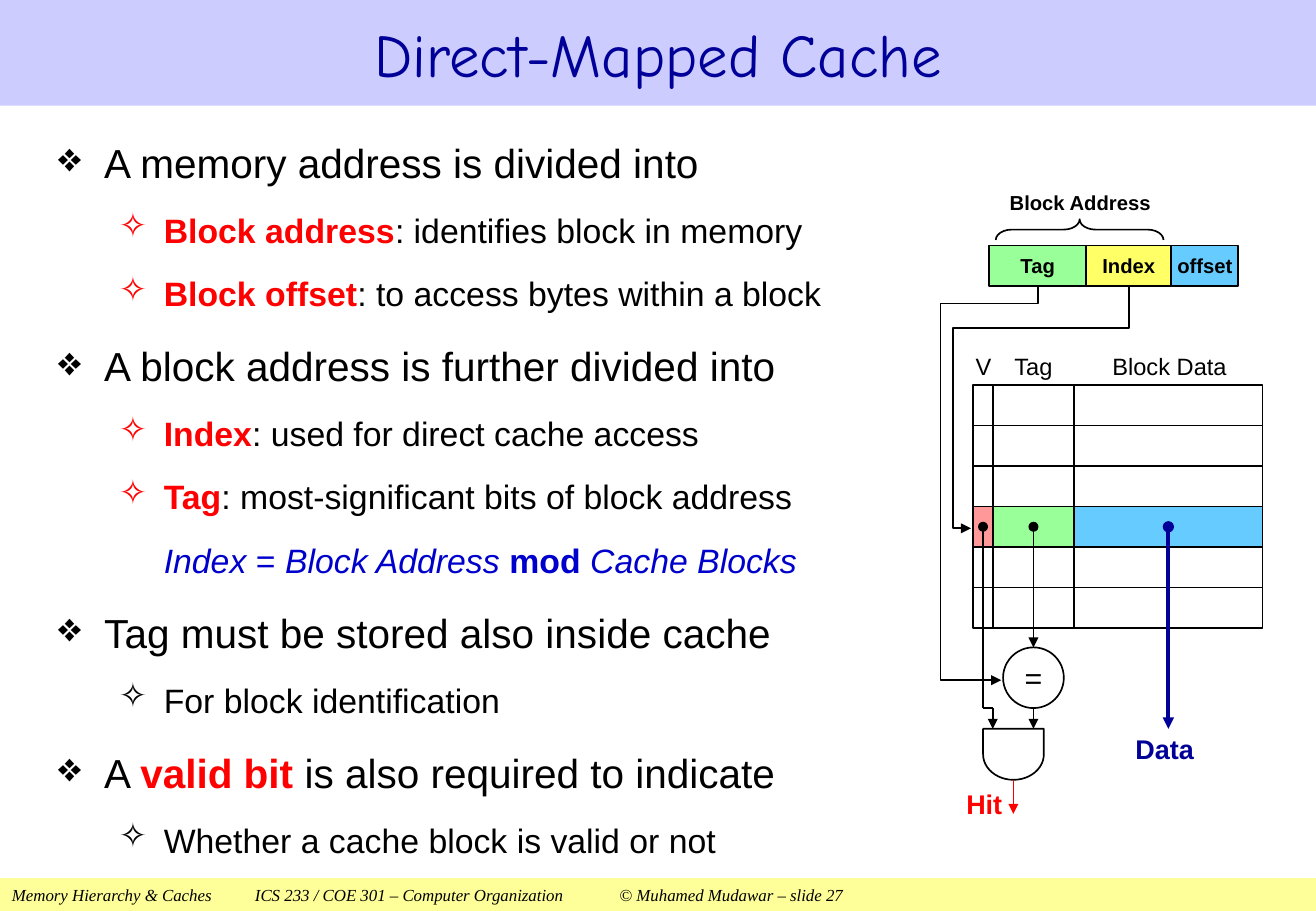
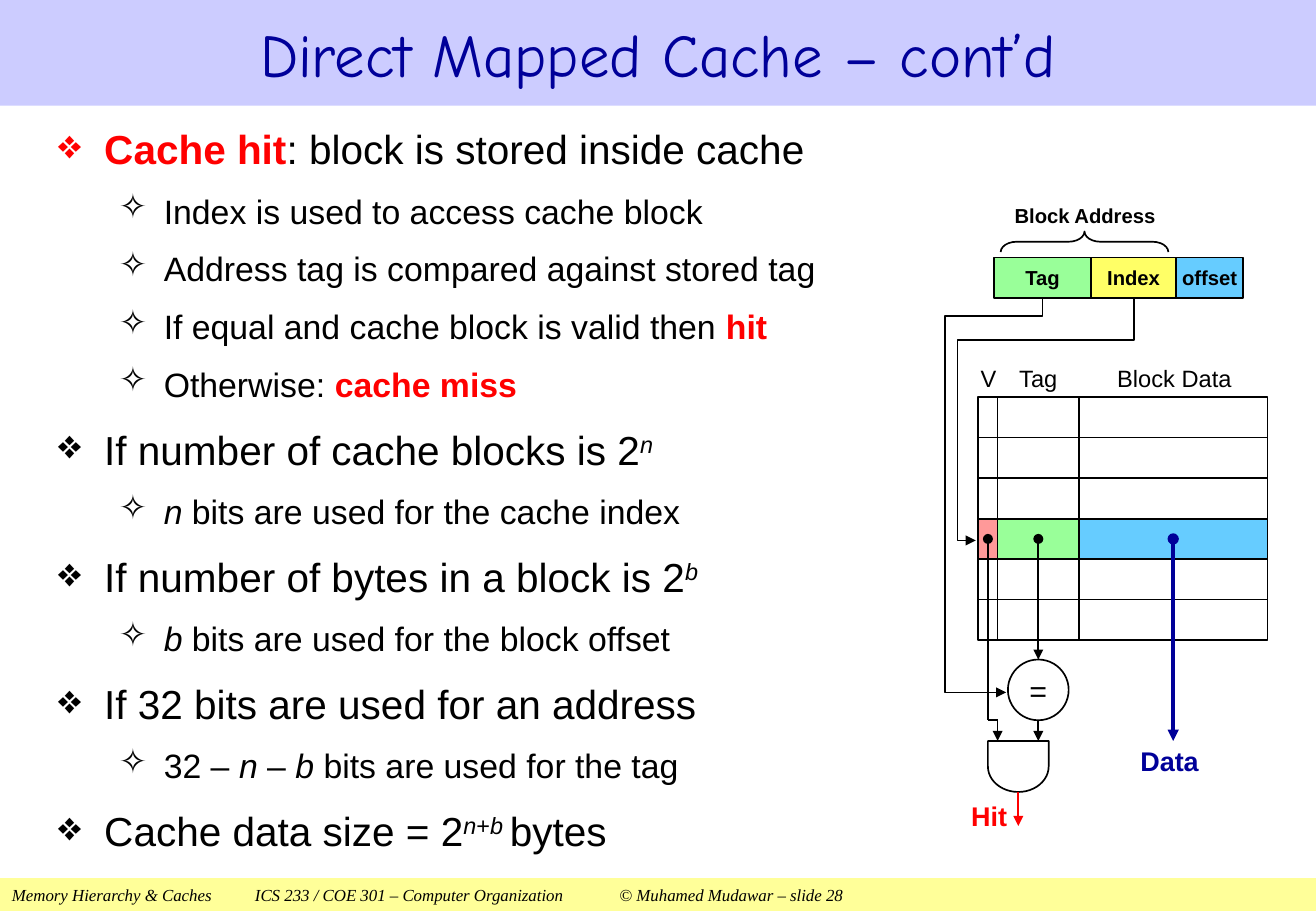
from lxml.etree import SubElement
from pptx import Presentation
from pptx.dml.color import RGBColor
from pptx.enum.shapes import MSO_SHAPE as Preset
from pptx.enum.text import MSO_ANCHOR as Anchor, MSO_AUTO_SIZE as AutoSize, PP_ALIGN as Align
from pptx.oxml.ns import qn
from pptx.util import Inches, Pt

rgb = RGBColor.from_string

# Shared look
BLACK, WHITE, RED, NAVY, BLUE = "000000", "FFFFFF", "FF0000", "000099", "0000CC"
TITLE_BAND, FOOTER_BAND = "CCCCFF", "FFFF99"
GREEN, YELLOW, SKY, PINK = "99FF99", "FFFF66", "66CCFF", "FF9999"
WIDTH, HEIGHT = 10.83, 7.5
LINE_HEIGHT = 1.15  # natural line height per point of text size

# Bullet levels: mark, text size, left margin, hanging indent
LEVELS = [("❖", 24, 0.38, 0.38), ("✧", 20, 0.87, 0.37)]

# Run formats
PLAIN = {}
KEY = dict(color=RED, bold=True)
VAR = dict(italic=True)
POWER = dict(italic=True, raised=True)
FORMULA = dict(color=BLUE, italic=True)


def write(paragraph, text, size=20, color=BLACK, font="Arial", bold=False, italic=False, raised=False):
    run = paragraph.add_run()
    run.text = text
    run.font.name, run.font.size = font, Pt(size)
    run.font.bold, run.font.italic = bold, italic
    run.font.color.rgb = rgb(color)
    if raised:
        run._r.get_or_add_rPr().set("baseline", "30000")


def paint(shape, fill=None, line=BLACK, width=1, head=None, tail=None):
    if hasattr(shape, "fill"):
        shape.shadow.inherit = False
        if fill:
            shape.fill.solid()
            shape.fill.fore_color.rgb = rgb(fill)
        else:
            shape.fill.background()
    if not line:
        shape.line.fill.background()
        return
    shape.line.color.rgb = rgb(line)
    shape.line.width = Pt(width)
    properties = shape._element.spPr
    for tag, kind in (("a:headEnd", head), ("a:tailEnd", tail)):
        if kind:
            SubElement(properties.find(qn("a:ln")), qn(tag), type=kind)
    if not hasattr(shape, "fill"):
        SubElement(properties, qn("a:effectLst"))


# Content: each bullet is a level and its runs; level None is an unmarked line
slides = [
    dict(number=27, title="Direct-Mapped Cache", body=(0.38, 1.03, 7.04, 6.1), gap=0.45, shift=(0, 0), bullets=[
        (0, [("A memory address is divided into", PLAIN)]),
        (1, [("Block address", KEY), (": identifies block in memory", PLAIN)]),
        (1, [("Block offset", KEY), (": to access bytes within a block", PLAIN)]),
        (0, [("A block address is further divided into", PLAIN)]),
        (1, [("Index", KEY), (": used for direct cache access", PLAIN)]),
        (1, [("Tag", KEY), (": most-significant bits of block address", PLAIN)]),
        (None, [("Index", FORMULA), (" = ", dict(color=BLUE)), ("Block Address ", FORMULA),
                ("mod ", dict(color=BLUE, bold=True)), ("Cache Blocks", FORMULA)]),
        (0, [("Tag must be stored also inside cache", PLAIN)]),
        (1, [("For block identification", PLAIN)]),
        (0, [("A ", PLAIN), ("valid bit ", KEY), ("is also required to indicate", PLAIN)]),
        (1, [("Whether a cache block is valid or not", PLAIN)]),
    ]),
    dict(number=28, title="Direct Mapped Cache – cont’d", body=(0.38, 0.92, 7.33, 6.26), gap=0.3, shift=(0.04, 0.1), bullets=[
        (0, [("Cache hit", KEY), (": block is stored inside cache", PLAIN)]),
        (1, [("Index is used to access cache block", PLAIN)]),
        (1, [("Address tag is compared against stored tag", PLAIN)]),
        (1, [("If equal and cache block is valid then ", PLAIN), ("hit", KEY)]),
        (1, [("Otherwise: ", PLAIN), ("cache miss", KEY)]),
        (0, [("If number of cache blocks is 2", PLAIN), ("n", POWER)]),
        (1, [("n", VAR), (" bits are used for the cache index", PLAIN)]),
        (0, [("If number of bytes in a block is 2", PLAIN), ("b", POWER)]),
        (1, [("b", VAR), (" bits are used for the block offset", PLAIN)]),
        (0, [("If 32 bits are used for an address", PLAIN)]),
        (1, [("32 – ", PLAIN), ("n", VAR), (" – ", PLAIN), ("b", VAR), (" bits are used for the tag", PLAIN)]),
        (0, [("Cache data size = 2", PLAIN), ("n", POWER), ("+", dict(raised=True)), ("b ", POWER), ("bytes", PLAIN)]),
    ]),
]

# Cache diagram measures
EDGES = [8.01, 8.17, 8.84, 10.39]  # column edges of V, Tag, Block Data
GRID_TOP, ROW, ROWS, HIT_ROW = 3.17, 1 / 3, 6, 3
GRID_BOTTOM = GRID_TOP + ROWS * ROW
HIT_TOP = GRID_TOP + HIT_ROW * ROW
HIT_MIDDLE = HIT_TOP + ROW / 2
V_X, TAG_X, DATA_X = [(left + right) / 2 for left, right in zip(EDGES, EDGES[1:])]
FIELD_TOP = 2.02
FIELD_BOTTOM = FIELD_TOP + ROW
GATE_TOP, GATE_X = 6.0, 8.34
CIRCLE_TOP, CIRCLE = 5.33, 0.5
CIRCLE_BOTTOM = CIRCLE_TOP + CIRCLE

prs = Presentation()
prs.slide_width, prs.slide_height = Inches(WIDTH), Inches(HEIGHT)

for content in slides:
    slide = prs.slides.add_slide(prs.slide_layouts[5])

    # Footer band
    footer = slide.shapes.add_shape(Preset.RECTANGLE, 0, Inches(7.23), Inches(WIDTH), Inches(0.27))
    paint(footer, FOOTER_BAND, line=None)
    footer.text_frame.vertical_anchor = Anchor.TOP
    credits = footer.text_frame.paragraphs[0]
    credits.alignment = Align.LEFT
    tabs = SubElement(credits._p.get_or_add_pPr(), qn("a:tabLst"))
    for stop in (2, 5):
        SubElement(tabs, qn("a:tab"), pos=str(Inches(stop)), algn="l")
    write(credits, "Memory Hierarchy & Caches\tICS 233 / COE 301 – Computer Organization\t"
          f"© Muhamed Mudawar – slide {content['number']}", size=10, font="Times New Roman", italic=True)

    # Title band
    title = slide.shapes.title
    title.left, title.top, title.width, title.height = 0, 0, Inches(WIDTH), Inches(0.87)
    title.fill.solid()
    title.fill.fore_color.rgb = rgb(TITLE_BAND)
    title.text_frame.vertical_anchor = Anchor.MIDDLE
    title.text_frame.auto_size = AutoSize.NONE
    heading = title.text_frame.paragraphs[0]
    heading.alignment = Align.CENTER
    write(heading, content["title"], size=36, color=NAVY, font="Comic Neue")

    # Bullets
    body = slide.shapes.add_textbox(*map(Inches, content["body"])).text_frame
    body.word_wrap = True
    for index, (level, runs) in enumerate(content["bullets"]):
        bullet = body.add_paragraph() if index else body.paragraphs[0]
        marked = level is not None
        bullet.level = level if marked else 1
        mark, size, margin, hanging = LEVELS[bullet.level]
        bullet.line_spacing = 1.14
        bullet.space_before = Pt(round(size * LINE_HEIGHT * content["gap"], 1))
        layout = bullet._p.get_or_add_pPr()
        layout.set("marL", str(Inches(margin)))
        layout.set("indent", str(-Inches(hanging) if marked else 0))
        if marked:
            SubElement(layout, qn("a:buChar"), char=mark)
        for text, style in runs:
            write(bullet, text, size=size, **style)

    # Cache grid
    diagram = slide.shapes.add_group_shape()
    parts = diagram.shapes
    grid = parts.add_shape(Preset.RECTANGLE, Inches(EDGES[0]), Inches(GRID_TOP),
                           Inches(EDGES[-1] - EDGES[0]), Inches(ROWS * ROW))
    paint(grid, WHITE)
    for left, right, color in zip(EDGES, EDGES[1:], (PINK, GREEN, SKY)):
        cell = parts.add_shape(Preset.RECTANGLE, Inches(left), Inches(HIT_TOP), Inches(right - left), Inches(ROW))
        paint(cell, color)
    rules = [(EDGES[0], GRID_TOP + row * ROW, EDGES[-1], GRID_TOP + row * ROW) for row in (1, 2, 5)]
    rules += [(edge, GRID_TOP, edge, GRID_BOTTOM) for edge in EDGES[1:-1]]
    for ends in rules:
        paint(parts.add_connector(1, *map(Inches, ends)))

    # Comparator and AND gate
    comparator = parts.add_shape(Preset.OVAL, Inches(TAG_X - CIRCLE / 2), Inches(CIRCLE_TOP),
                                 Inches(CIRCLE), Inches(CIRCLE))
    paint(comparator, WHITE)
    gate = parts.add_shape(Preset.FLOWCHART_DELAY, Inches(8.13), Inches(5.96), Inches(0.42), Inches(0.5))
    gate.rotation = 90
    paint(gate, WHITE)
    labels = [(comparator, "=", dict(size=18))]

    # Address fields with brace
    left = 8.14
    for name, width, color in (("Tag", 0.8, GREEN), ("Index", 0.7, YELLOW), ("offset", 0.55, SKY)):
        field = parts.add_shape(Preset.RECTANGLE, Inches(left), Inches(FIELD_TOP), Inches(width), Inches(ROW))
        paint(field, color)
        labels.append((field, name, dict(size=12, bold=True)))
        left += width
    brace = parts.add_shape(Preset.RIGHT_BRACE, Inches(8.8), Inches(1.2), Inches(0.17), Inches(1.38))
    brace.rotation = 270
    brace.adjustments[0], brace.adjustments[1] = 0.77, 0.5
    paint(brace)

    # Captions
    for text, box, style in (
        ("V", (EDGES[0], 2.8, 0.17, 0.42), dict(size=14)),
        ("Tag", (EDGES[1], 2.8, 0.67, 0.42), dict(size=14)),
        ("Block Data", (EDGES[2], 2.8, 1.57, 0.42), dict(size=14)),
        ("Block Address", (8.14, 1.57, 1.5, 0.2), dict(size=12, bold=True)),
        ("Hit", (7.85, 6.45, 0.5, 0.33), dict(size=16, color=RED, bold=True)),
        ("Data", (9.3, 6, 0.57, 0.33), dict(size=16, color=NAVY, bold=True)),
    ):
        labels.append((parts.add_textbox(*map(Inches, box)), text, style))
    for holder, text, style in labels:
        frame = holder.text_frame
        frame.margin_left = frame.margin_right = frame.margin_top = frame.margin_bottom = 0
        frame.word_wrap = True
        frame.vertical_anchor = Anchor.MIDDLE
        frame.paragraphs[0].alignment = Align.CENTER
        write(frame.paragraphs[0], text, **style)

    # Straight signals
    tag_signal = parts.add_connector(1, Inches(TAG_X), Inches(HIT_MIDDLE), Inches(TAG_X), Inches(CIRCLE_TOP))
    tag_signal.end_connect(comparator, 0)
    paint(tag_signal, head="oval", tail="triangle")
    for ends, style in (
        ((DATA_X, HIT_MIDDLE, DATA_X, GATE_TOP), dict(line=NAVY, width=2.25, head="oval", tail="triangle")),
        ((TAG_X, CIRCLE_BOTTOM, TAG_X, GATE_TOP), dict(tail="triangle")),
        ((GATE_X, 6.42, GATE_X, 6.7), dict(line=RED, tail="triangle")),
        ((V_X, HIT_MIDDLE, V_X, CIRCLE_BOTTOM), dict(head="oval")),
        ((EDGES[1], CIRCLE_BOTTOM, V_X, CIRCLE_BOTTOM), dict()),
        ((EDGES[1], CIRCLE_BOTTOM, EDGES[1], GATE_TOP), dict(tail="triangle")),
    ):
        paint(parts.add_connector(1, *map(Inches, ends)), **style)

    # Bent signals: index to the row, tag to the comparator
    for start_x, turn_y, lane_x, end_x, end_y in ((9.29, 2.7, 7.84, 7.99, 4.35), (8.54, 2.5, 7.74, 8.24, 5.6)):
        route = parts.build_freeform(Inches(start_x), Inches(FIELD_BOTTOM))
        turns = [(start_x, turn_y), (lane_x, turn_y), (lane_x, end_y), (end_x, end_y)]
        route.add_line_segments([(Inches(x), Inches(y)) for x, y in turns], close=False)
        paint(route.convert_to_shape(), tail="triangle")

    # Place of the diagram on this slide
    shift_x, shift_y = content["shift"]
    diagram.left += Inches(shift_x)
    diagram.top += Inches(shift_y)

prs.save("out.pptx")
